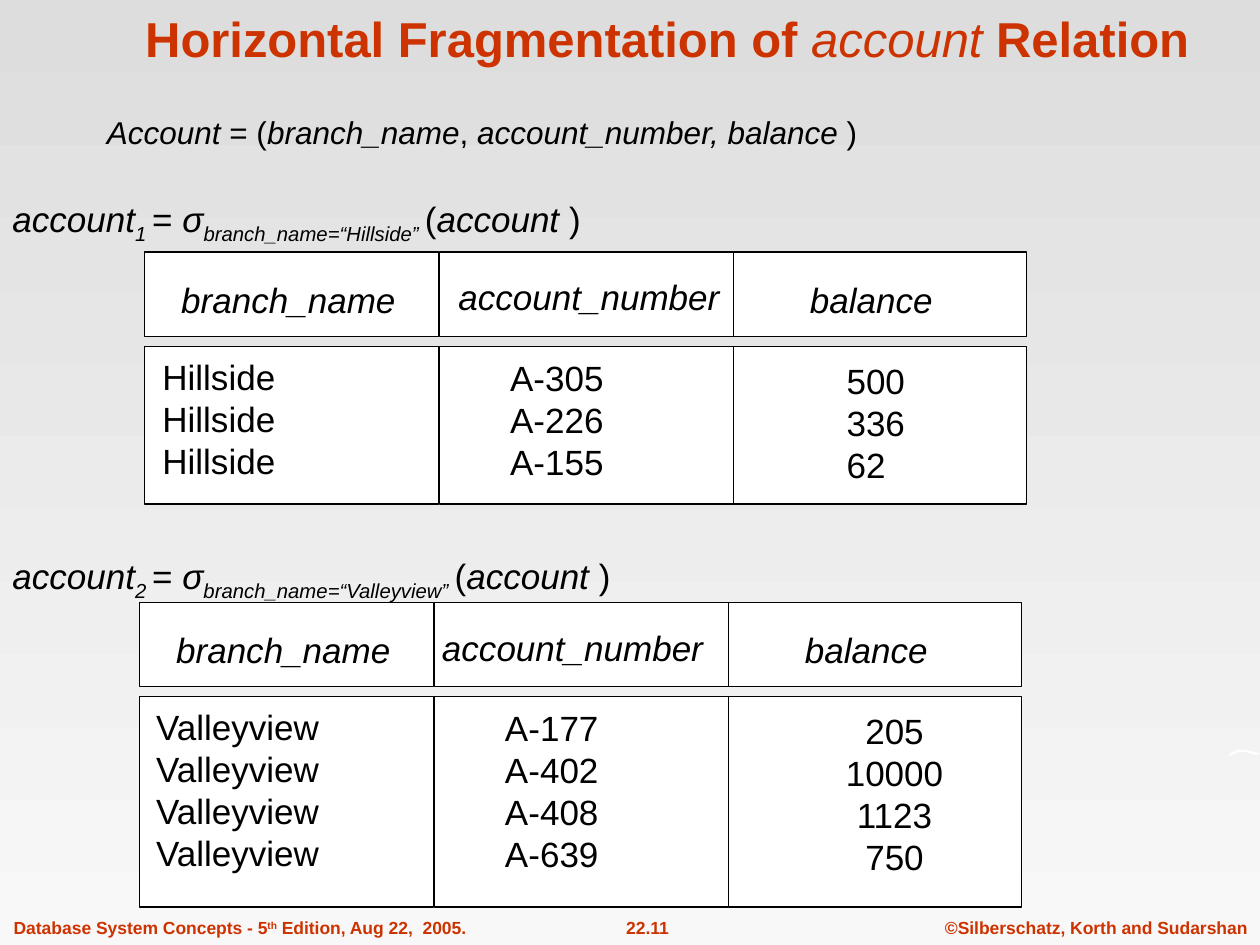
"""Build a slide on the horizontal fragmentation of the account relation."""
from pptx import Presentation
from pptx.dml.color import RGBColor
from pptx.enum.shapes import MSO_SHAPE
from pptx.enum.text import MSO_ANCHOR, MSO_AUTO_SIZE, PP_ALIGN
from pptx.util import Pt

PX = 9144
RED = RGBColor(0xCC, 0x33, 0x00)
BLACK = RGBColor(0x00, 0x00, 0x00)
WHITE = RGBColor(0xFF, 0xFF, 0xFF)
GREY_TOP = RGBColor(0xDD, 0xDD, 0xDD)
GREY_BOTTOM = RGBColor(0xF8, 0xF8, 0xF8)

prs = Presentation()
prs.slide_width, prs.slide_height = 1000 * PX, 750 * PX
s = prs.slides.add_slide(prs.slide_layouts[5])

bg = s.background.fill
bg.gradient()
bg.gradient_angle = 270
for stop, color in zip(bg.gradient_stops, (GREY_TOP, GREY_BOTTOM)):
    stop.color.rgb = color


def write(p, runs, size, color=BLACK, bold=None, align=PP_ALIGN.LEFT):
    p.alignment = align
    p.font.name, p.font.size, p.font.bold = "Arial", Pt(size), bold
    p.font.color.rgb = color
    for text, italic, baseline in runs:
        r = p.add_run()
        r.text = text
        if italic:
            r.font.italic = True
        if baseline:
            r.font._element.set("baseline", str(baseline * 1000))


def add_text(box, lines, size=20, wrap=False, **style):
    sp = s.shapes.add_textbox(*(v * PX for v in box))
    tf = sp.text_frame
    tf.word_wrap = wrap
    tf.auto_size = MSO_AUTO_SIZE.SHAPE_TO_FIT_TEXT
    for i, runs in enumerate(lines):
        p = tf.add_paragraph() if i else tf.paragraphs[0]
        write(p, runs, size, **style)


footers = [
    ((740, 723, 260, 27), [("©Silberschatz, Korth and Sudarshan", False, 0)], PP_ALIGN.CENTER),
    ((461, 723, 106, 27), [("22.11", False, 0)], PP_ALIGN.CENTER),
    ((1, 723, 379, 27), [("Database System Concepts - 5", False, 0), ("th", False, 30),
                         (" Edition, Aug 22,  2005.", False, 0)], PP_ALIGN.LEFT),
]
for box, runs, align in footers:
    add_text(box, [runs], 10, color=RED, bold=True, align=align)

curl = s.shapes.build_freeform(975, 601, scale=PX)
curl.add_line_segments([
    (976, 598), (978, 597), (980, 596), (983, 595), (987, 595), (992, 596),
    (996, 597), (1000, 598), (999, 599), (996, 599), (993, 598), (989, 597),
    (985, 597), (982, 597), (980, 598), (978, 599), (976, 600),
])
sp = curl.convert_to_shape()
sp.shadow.inherit = False
sp.fill.solid()
sp.fill.fore_color.rgb = WHITE
sp.line.fill.background()

title = s.shapes.title
title.left, title.top, title.width, title.height = 42 * PX, 0, 975 * PX, 58 * PX
tf = title.text_frame
tf.auto_size = MSO_AUTO_SIZE.NONE
tf.vertical_anchor = MSO_ANCHOR.BOTTOM
p = tf.paragraphs[0]
p.line_spacing = 0.8
write(p, [("Horizontal Fragmentation of ", False, 0), ("account", True, 0),
          (" Relation", False, 0)], 28, RED, True, PP_ALIGN.CENTER)
p.runs[1].font.bold = False

fragments = [
    {"number": 1, "branch": "Hillside", "left": 115, "top": 200, "height": 125,
     "formula": (0, 152, 511, 48), "text_x": (4, 280, 547), "number_x": 239,
     "widths": (112, 96, 69), "align": PP_ALIGN.LEFT,
     "rows": [("A-305", "500"), ("A-226", "336"), ("A-155", "62")]},
    {"number": 2, "branch": "Valleyview", "left": 111, "top": 478, "height": 167,
     "formula": (0, 435, 534, 48), "text_x": (3, 280, 549), "number_x": 230,
     "widths": (154, 96, 100), "align": PP_ALIGN.CENTER,
     "rows": [("A-177", "205"), ("A-402", "10000"), ("A-408", "1123"), ("A-639", "750")]},
]
for f in fragments:
    left, top = f["left"], f["top"]
    body = top + 75
    for y, height in ((top, 67), (body, f["height"])):
        for x in (0, 234, 467):
            sp = s.shapes.add_shape(MSO_SHAPE.RECTANGLE, (left + x) * PX, y * PX,
                                    233 * PX, height * PX)
            sp.shadow.inherit = False
            sp.fill.solid()
            sp.fill.fore_color.rgb = WHITE
            sp.line.color.rgb = BLACK
            sp.line.width = Pt(0.75)

    headers = (("branch_name", 19, 16, 193), ("account_number", f["number_x"], 14, 230),
               ("balance", 518, 16, 120))
    for name, x, dy, width in headers:
        add_text((left + x, top + dy, width, 44), [[(name, True, 0)]])

    columns = zip(*((f["branch"], *row) for row in f["rows"]))
    aligns = (PP_ALIGN.LEFT, PP_ALIGN.LEFT, f["align"])
    for values, x, dy, width, align in zip(columns, f["text_x"], (2, 3, 5), f["widths"], aligns):
        add_text((left + x, body + dy, width, 10 + 34 * len(values)),
                 [[(v, False, 0)] for v in values], align=align)

    add_text(f["formula"], [[
        ("account", True, 0), (f"{f['number']} ", True, -25), ("= ", False, 0), ("σ", True, 0),
        (f"branch_name=“{f['branch']}” ", True, -25), ("(", False, 0),
        ("account ", True, 0), (")", False, 0)]], wrap=True)

add_text((75, 85, 653, 40), [[
    ("Account", True, 0), (" = (", False, 0), ("branch_name", True, 0), (", ", False, 0),
    ("account_number, balance ", True, 0), (")", False, 0)]], 18, wrap=True)

prs.save("out.pptx")
